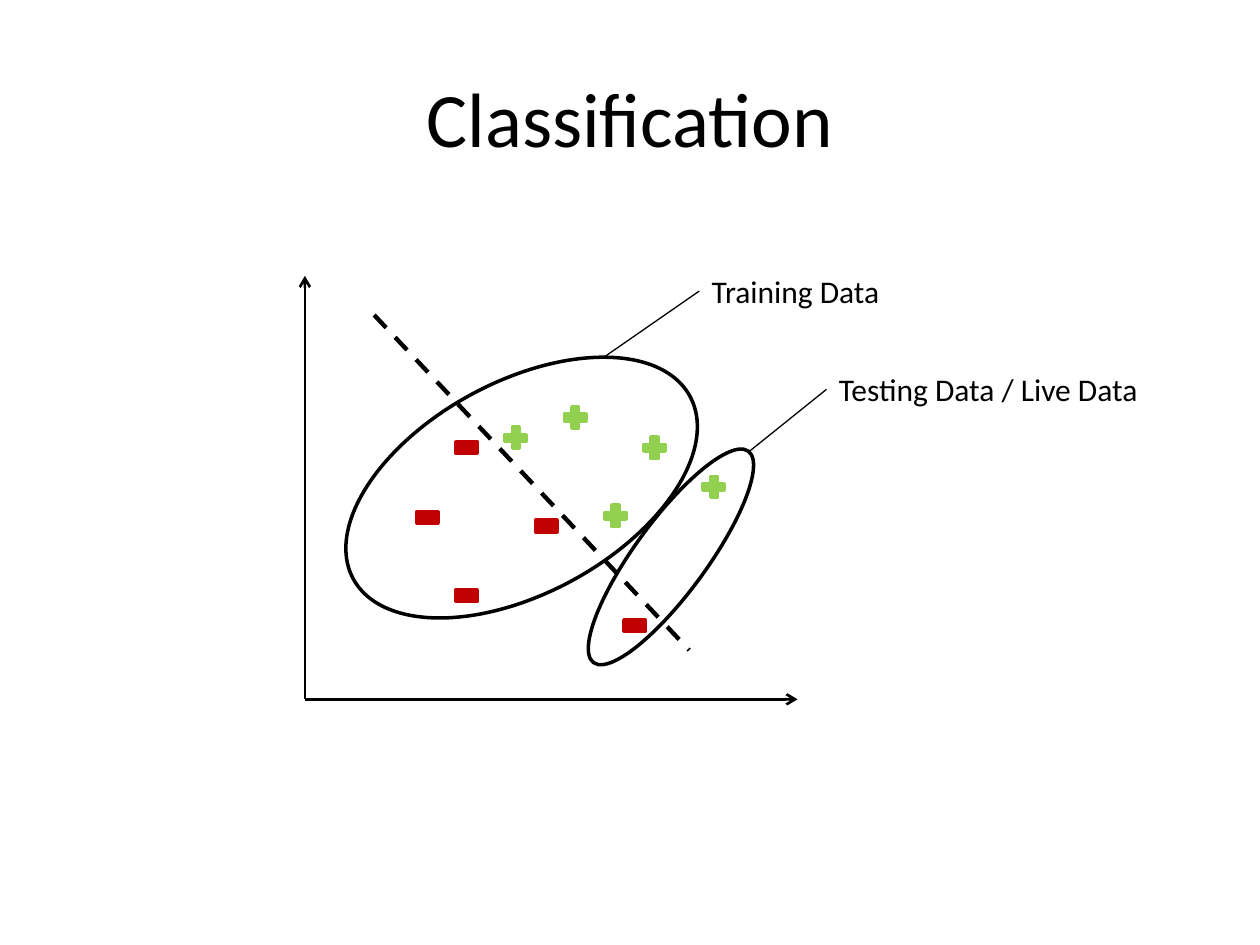
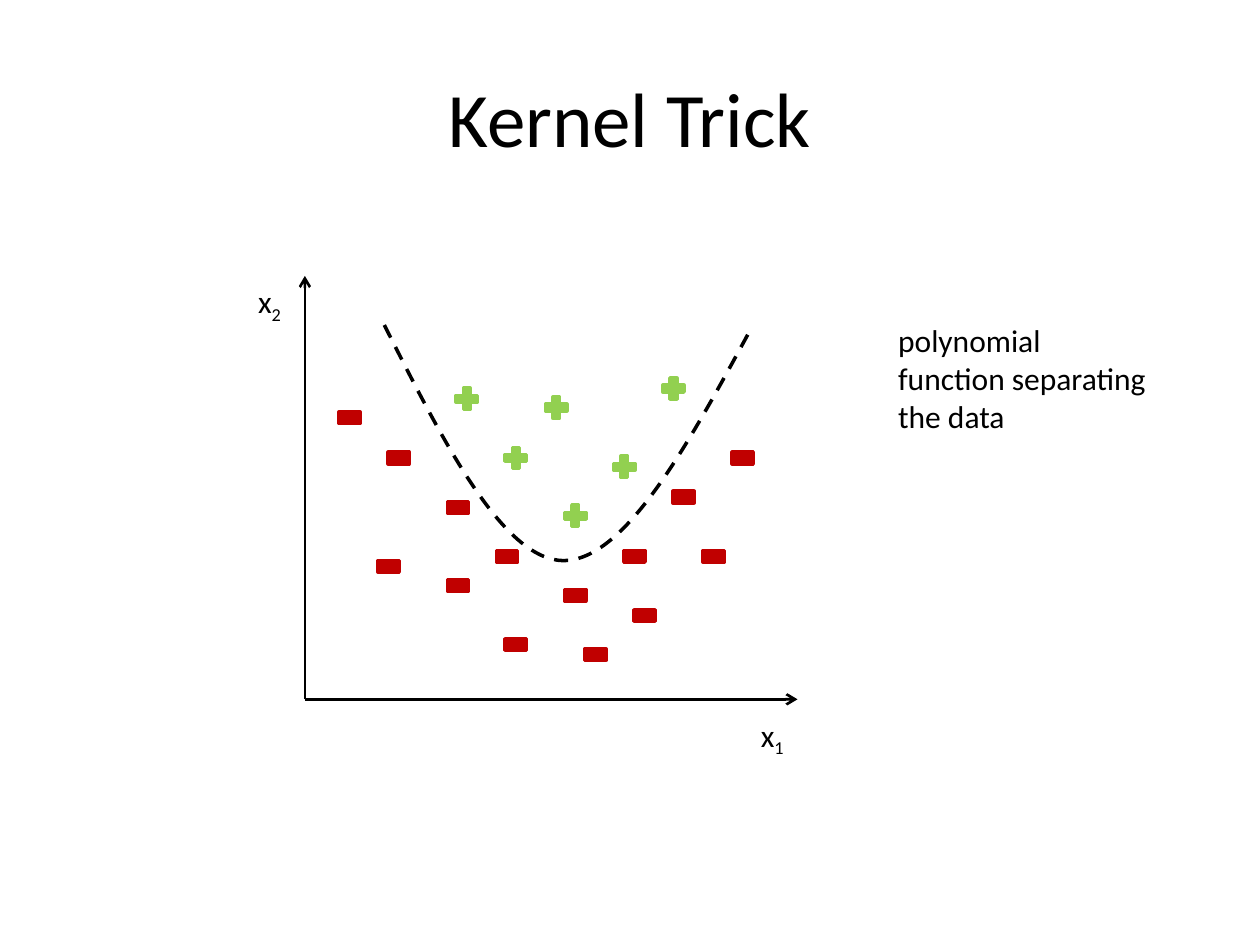
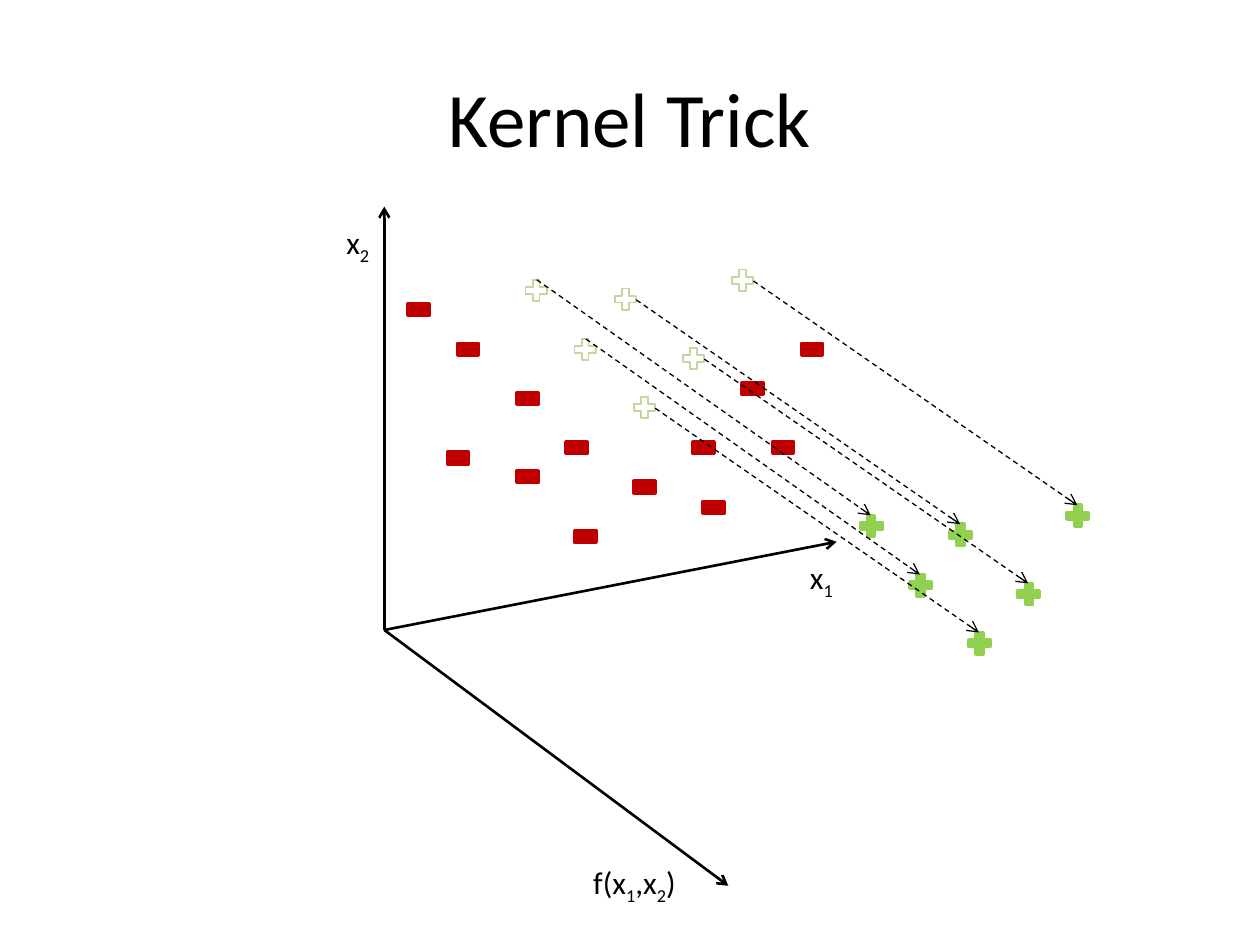
from itertools import groupby
from typing import NamedTuple

from lxml.etree import SubElement
from pptx import Presentation
from pptx.dml.color import RGBColor
from pptx.enum.dml import MSO_LINE as Dash
from pptx.enum.shapes import MSO_CONNECTOR as Link, MSO_SHAPE as Kind
from pptx.enum.text import MSO_ANCHOR as Anchor, MSO_AUTO_SIZE as Auto, PP_ALIGN as Align
from pptx.oxml.ns import qn
from pptx.util import Inches, Pt

BLACK, GREEN, PALE, RED = "000000", "92D050", "C3D69B", "C00000"
FONT = "Calibri"


class Point(NamedTuple):
    """A place on the slide in inches."""
    x: float
    y: float

    def move(self, dx: float, dy: float) -> "Point":
        """Return the point shifted by dx and dy."""
        return Point(self.x + dx, self.y + dy)


class Mark(NamedTuple):
    """The look of one kind of data point."""
    kind: Kind
    high: float
    line: str
    width: float
    fill: str | None


class Oval(NamedTuple):
    """A tilted ellipse around a data set."""
    at: Point
    wide: float
    high: float
    turn: float


class Label(NamedTuple):
    """A text box whose digits are set as subscripts."""
    text: str
    at: Point
    wide: float
    high: float = 0.4
    wrap: bool = False


class Note(NamedTuple):
    """A data set's oval, its label and the leader between them."""
    oval: Oval
    label: Label
    end: Point


PLUS = Mark(Kind.MATH_PLUS, 0.23, GREEN, 2, GREEN)
GHOST = Mark(Kind.MATH_PLUS, 0.23, PALE, 1, None)
MINUS = Mark(Kind.MATH_MINUS, 0.39, RED, 2, RED)

TRAIN_PLUS = [Point(5.08, 3.44), Point(3.98, 3.36), Point(4.77, 3.98),
              Point(4.45, 3.2), Point(5.55, 3.75)]
TRAIN_MINUS = [Point(3.59, 4.53), Point(3.28, 3.91), Point(4.22, 3.98),
               Point(3.59, 3.36), Point(4.92, 4.77)]
NOTES = [
    Note(Oval(Point(2.62, 3.03), 3.04, 1.68, 331.5),
         Label("Training Data", Point(5.55, 2.11), 2.03, wrap=True), Point(4.8, 2.83)),
    Note(Oval(Point(5.04, 3.38), 0.57, 2.08, 36.2),
         Label("Testing Data / Live Data", Point(6.56, 2.89), 2.89, wrap=True),
         Point(5.95, 3.58)),
]

SIDE = [Point(4.84, 3.59), Point(4.45, 3.98), Point(4.3, 3.12), Point(5.23, 2.97)]
TOP = [Point(3.98, 3.52), Point(3.59, 3.05)]
LOWEST = Point(4.61, 5)
OUTER = [Point(3.91, 4.22), Point(3.52, 3.83), Point(4.45, 4.53), Point(3.05, 3.44),
         Point(2.97, 4.3), Point(4.92, 4.22), Point(5.31, 3.75), Point(5.78, 3.44),
         Point(3.52, 4.45), Point(3.98, 4.92), Point(5.55, 4.22), Point(5, 4.69),
         Point(2.66, 3.12)]
CURVE = [Point(3.05, 2.58), Point(3.52, 3.51), Point(3.99, 4.44), Point(4.47, 4.45),
         Point(4.96, 4.45), Point(5.46, 3.53), Point(5.96, 2.61)]
SHIFT = (0.55, -0.86)
LIFT = (2.66, 1.87)


def color(code: str) -> RGBColor:
    """Turn a hex string into a colour."""
    return RGBColor.from_string(code)


def style(line, code: str, width: float, dash: bool = False) -> None:
    """Set a line's colour, width and dash."""
    line.color.rgb = color(code)
    line.width = Pt(width)
    if dash:
        line.dash_style = Dash.DASH


def write(slide, label: Label, size: float = 18):
    """Add a text box and return it."""
    box = slide.shapes.add_textbox(*map(Inches, (*label.at, label.wide, label.high)))
    frame = box.text_frame
    frame.word_wrap = label.wrap
    frame.auto_size = Auto.SHAPE_TO_FIT_TEXT
    para = frame.paragraphs[0]
    para.font.name, para.font.size = FONT, Pt(size)
    para.font.color.rgb = color(BLACK)
    for low, part in groupby(label.text, str.isdigit):
        run = para.add_run()
        run.text = "".join(part)
        if low:
            run._r.get_or_add_rPr().set("baseline", "-25000")
    return box


def start(deck, title: str):
    """Add a blank slide with a centred title."""
    slide = deck.slides.add_slide(deck.slide_layouts[6])
    frame = write(slide, Label(title, Point(0.5, 0.3), 9, 1.25, True), 44).text_frame
    frame.auto_size = Auto.NONE
    frame.vertical_anchor = Anchor.MIDDLE
    frame.paragraphs[0].alignment = Align.CENTER
    return slide


def join(slide, a: Point, b: Point, width: float = 0.75,
         dash: bool = False, arrow: bool = False) -> None:
    """Draw a straight line from a to b."""
    link = slide.shapes.add_connector(Link.STRAIGHT, *map(Inches, (*a, *b)))
    style(link.line, BLACK, width, dash)
    if arrow:
        SubElement(link.line._get_or_add_ln(), qn("a:tailEnd"), type="arrow")
    SubElement(link._element.spPr, qn("a:effectLst"))


def axes(slide, base: Point, *ends: Point) -> None:
    """Draw arrows from a shared base."""
    for end in ends:
        join(slide, base, end, 1.5, arrow=True)


def plot(slide, mark: Mark, spots: list[Point]) -> None:
    """Draw one mark at each spot."""
    for spot in spots:
        shape = slide.shapes.add_shape(
            mark.kind, *map(Inches, (*spot, 0.23, mark.high)))
        shape.shadow.inherit = False
        style(shape.line, mark.line, mark.width)
        if mark.fill:
            shape.fill.solid()
            shape.fill.fore_color.rgb = color(mark.fill)
        else:
            shape.fill.background()


def ring(slide, oval: Oval) -> None:
    """Draw a tilted outline."""
    shape = slide.shapes.add_shape(
        Kind.OVAL, *map(Inches, (*oval.at, oval.wide, oval.high)))
    shape.rotation = oval.turn
    shape.shadow.inherit = False
    shape.fill.background()
    style(shape.line, BLACK, 2)


def bend(slide, spots: list[Point]) -> None:
    """Draw a dashed cubic curve through every third spot."""
    first, *rest = [tuple(map(Inches, spot)) for spot in spots]
    build = slide.shapes.build_freeform(*first)
    build.add_line_segments(rest, close=False)
    shape = build.convert_to_shape()
    shape.shadow.inherit = False
    shape.fill.background()
    style(shape.line, BLACK, 2, True)
    track = shape._element.find(".//" + qn("a:path"))
    steps = track.findall(qn("a:lnTo"))
    for i in range(0, len(steps), 3):
        cubic = SubElement(track, qn("a:cubicBezTo"))
        for step in steps[i:i + 3]:
            cubic.append(step[0])
            track.remove(step)


def classes(deck) -> None:
    """Build the slide on training and testing data."""
    slide = start(deck, "Classification")
    axes(slide, Point(2.42, 5.55), Point(6.33, 5.55), Point(2.42, 2.19))
    plot(slide, PLUS, TRAIN_PLUS)
    plot(slide, MINUS, TRAIN_MINUS)
    join(slide, Point(2.97, 2.5), Point(5.47, 5.16), 2.5, dash=True)
    for note in NOTES:
        ring(slide, note.oval)
        write(slide, note.label)
        join(slide, note.label.at.move(0, 0.2), note.end)


def kernel(deck) -> None:
    """Build the slide with the curved border."""
    slide = start(deck, "Kernel Trick")
    axes(slide, Point(2.42, 5.55), Point(6.33, 5.55), Point(2.42, 2.19))
    plot(slide, PLUS, SIDE + TOP)
    plot(slide, MINUS, OUTER + [LOWEST])
    bend(slide, CURVE)
    write(slide, Label("polynomial function separating the data",
                       Point(7.03, 2.5), 2.19, 1.01, True))
    write(slide, Label("x2", Point(1.95, 2.19), 0.4))
    write(slide, Label("x1", Point(5.94, 5.63), 0.4))


def space(deck) -> None:
    """Build the slide with points lifted along a third axis."""
    slide = start(deck, "Kernel Trick")
    side, top, outer = ([spot.move(*SHIFT) for spot in group]
                        for group in (SIDE, TOP, OUTER))
    plot(slide, GHOST, side + top)
    plot(slide, MINUS, outer)
    axes(slide, Point(3.05, 5), Point(6.64, 4.3), Point(3.05, 1.64), Point(5.78, 7.03))
    plot(slide, PLUS, [spot.move(*LIFT) for spot in side + top])
    for group, edge in ((side, (0.2, 0.12)), (top, (0.12, 0.03))):
        for spot in group:
            tip = spot.move(*LIFT).move(0.11, 0.03)
            join(slide, spot.move(*edge), tip, dash=True, arrow=True)
    write(slide, Label("x2", Point(2.65, 1.72), 0.4))
    write(slide, Label("x1", Point(6.33, 4.38), 0.4))
    write(slide, Label("f(x1,x2)", Point(4.61, 6.8), 0.89))


def main() -> None:
    """Build and save the deck."""
    deck = Presentation()
    deck.slide_width, deck.slide_height = Inches(10), Inches(7.5)
    for make in (classes, kernel, space):
        make(deck)
    deck.save("out.pptx")


if __name__ == "__main__":
    main()
